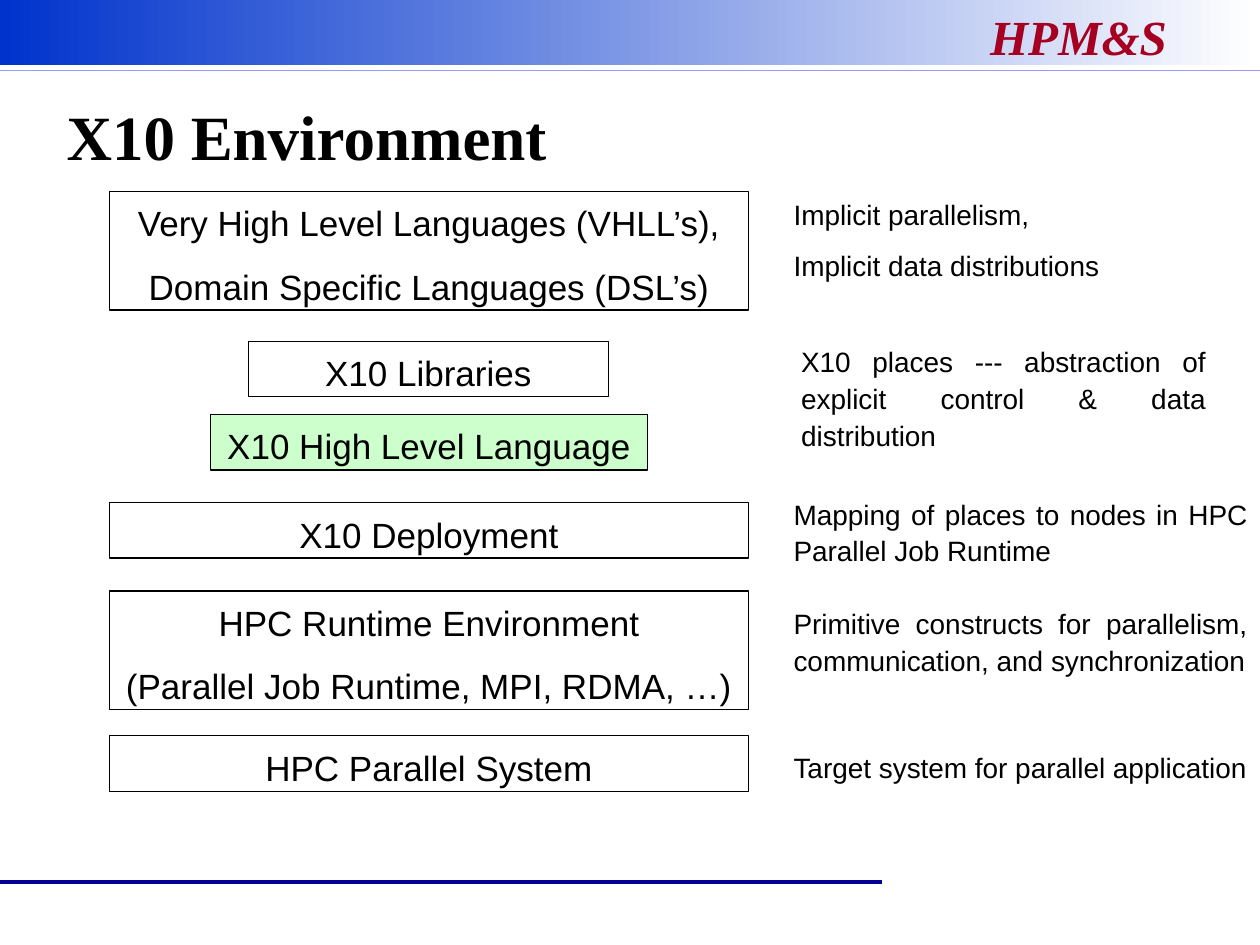
import pptx
import pptx.util
import pptx.dml.color
import pptx.enum.shapes
import pptx.enum.text
import pptx.oxml.ns
from lxml import etree

Inches, Pt = pptx.util.Inches, pptx.util.Pt
ALIGN = pptx.enum.text.PP_ALIGN
ANCHOR = pptx.enum.text.MSO_ANCHOR
SHAPES = pptx.enum.shapes.MSO_SHAPE

COLORS = {
    "text": "000000",
    "band": "0033CC",
    "page": "FFFFFF",
    "rule": "9999FF",
    "footer": "000099",
    "brand": "A50021",
    "highlight": "CCFFCC",
}


def rgb(name):
    return pptx.dml.color.RGBColor.from_string(COLORS[name])


class SlideBuilder:
    body_font = "Arial"
    head_font = "Times New Roman"
    layer_size = 20
    note_size = 16
    line_spacing = 1.1
    para_gap = 0.5  # space between paragraphs, as a share of the font size

    def __init__(self, slide):
        self.slide = slide

    def body(self, sp, lines, size, align):
        tf = sp.text_frame
        tf.word_wrap = True
        tf.auto_size = pptx.enum.text.MSO_AUTO_SIZE.SHAPE_TO_FIT_TEXT
        tf.vertical_anchor = ANCHOR.TOP
        tf.text = "\n".join(lines)
        for i, p in enumerate(tf.paragraphs):
            p.alignment = align
            p.line_spacing = self.line_spacing
            p.space_before = Pt(size * self.para_gap if i else 0)
            for r in p.runs:
                r.font.name = self.body_font
                r.font.size = Pt(size)
                r.font.color.rgb = rgb("text")

    def layer(self, x, y, w, h, lines, fill=None):
        """Add one outlined box of the software stack."""
        sp = self.slide.shapes.add_shape(
            SHAPES.RECTANGLE, Inches(x), Inches(y), Inches(w), Inches(h))
        sp.shadow.inherit = False
        if fill:
            sp.fill.solid()
            sp.fill.fore_color.rgb = rgb(fill)
        else:
            sp.fill.background()
        sp.line.color.rgb = rgb("text")
        sp.line.width = Pt(0.75)
        self.body(sp, lines, self.layer_size, ALIGN.CENTER)

    def note(self, x, y, w, h, lines):
        sp = self.slide.shapes.add_textbox(
            Inches(x), Inches(y), Inches(w), Inches(h))
        self.body(sp, lines, self.note_size, ALIGN.JUSTIFY)

    def heading(self, x, y, w, h, text, size, color, anchor, italic=False):
        sp = self.slide.shapes.add_textbox(
            Inches(x), Inches(y), Inches(w), Inches(h))
        tf = sp.text_frame
        tf.word_wrap = True
        tf.vertical_anchor = anchor
        tf.text = text
        p = tf.paragraphs[0]
        p.alignment = ALIGN.JUSTIFY
        font = p.runs[0].font
        font.name = self.head_font
        font.size = Pt(size)
        font.bold = True
        font.italic = italic
        font.color.rgb = rgb(color)

    def band(self, w, h):
        """Add the gradient strip along the top edge."""
        sp = self.slide.shapes.add_shape(
            SHAPES.RECTANGLE, 0, 0, Inches(w), Inches(h))
        sp.shadow.inherit = False
        sp.line.fill.background()
        sp.fill.gradient()
        sp.fill.gradient_angle = 0
        for stop, name, position in zip(
                sp.fill.gradient_stops, ("band", "page"), (0, 1)):
            stop.color.rgb = rgb(name)
            stop.position = position

    def rule(self, y, w, color, weight):
        """Add a horizontal line from the left edge."""
        line = self.slide.shapes.add_connector(
            pptx.enum.shapes.MSO_CONNECTOR.STRAIGHT,
            0, Inches(y), Inches(w), Inches(y))
        line.line.color.rgb = rgb(color)
        line.line.width = Pt(weight)
        etree.SubElement(line._element.spPr, pptx.oxml.ns.qn("a:effectLst"))


def main():
    prs = pptx.Presentation()
    prs.slide_width, prs.slide_height = Inches(10), Inches(7.5)
    s = SlideBuilder(prs.slides.add_slide(prs.slide_layouts[6]))

    s.band(10, 0.52)
    s.rule(7, 7, "footer", 2.25)
    s.heading(7.76, 0, 3.25, 0.57, "HPM&S", 28, "brand", ANCHOR.TOP, italic=True)
    s.rule(0.56, 10, "rule", 1)
    s.heading(0.43, 0.68, 8.9, 0.79, "X10 Environment", 36, "text", ANCHOR.MIDDLE)

    center, full = 3.405, 5.07
    one_line, two_lines = 0.44, 0.94
    layers = [
        (1.52, full, ["Very High Level Languages (VHLL’s),",
                      "Domain Specific Languages (DSL’s)"], None),
        (2.71, 2.86, ["X10 Libraries"], None),
        (3.29, 3.47, ["X10 High Level Language"], "highlight"),
        (3.99, full, ["X10 Deployment"], None),
        (4.69, full, ["HPC Runtime Environment",
                      "(Parallel Job Runtime, MPI, RDMA, …)"], None),
        (5.84, full, ["HPC Parallel System"], None),
    ]
    for y, w, lines, fill in layers:
        h = two_lines if len(lines) == 2 else one_line
        s.layer(round(center - w / 2, 2), y, w, h, lines, fill)

    notes = [
        (6.2, 1.49, 3.8, 0.81, ["Implicit parallelism,",
                                "Implicit data distributions"]),
        (6.26, 2.66, 3.41, 0.97, ["X10 places --- abstraction of explicit "
                                  "control & data distribution"]),
        (6.2, 3.87, 3.8, 0.67, ["Mapping of places to nodes in HPC "
                                "Parallel Job Runtime"]),
        (6.2, 4.74, 3.8, 0.67, ["Primitive constructs for parallelism, "
                                "communication, and synchronization"]),
        (6.2, 5.88, 3.8, 0.67, ["Target system for parallel application"]),
    ]
    for note in notes:
        s.note(*note)

    prs.save("out.pptx")


if __name__ == "__main__":
    main()
